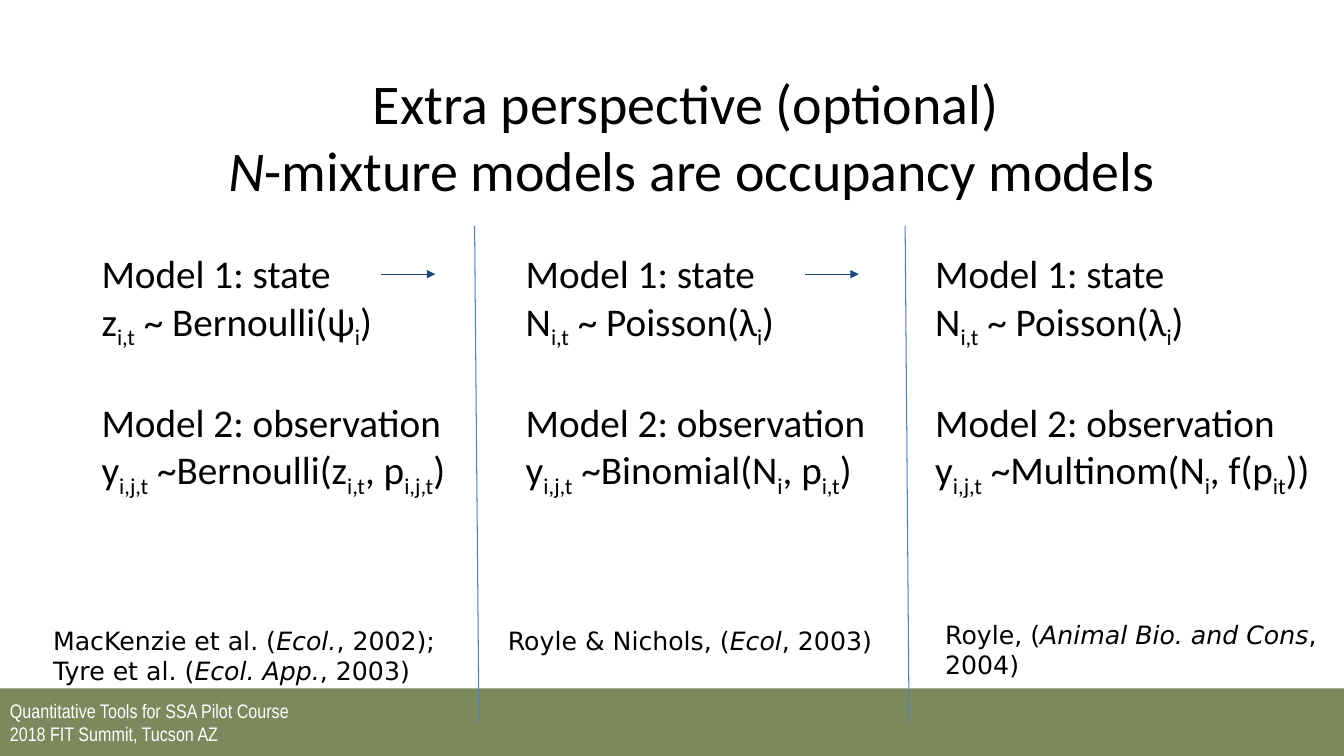
from lxml import etree
from pptx import Presentation
from pptx.dml.color import RGBColor
from pptx.enum.shapes import MSO_CONNECTOR, MSO_SHAPE
from pptx.enum.text import MSO_ANCHOR, PP_ALIGN
from pptx.oxml.ns import qn
from pptx.util import Cm, Pt

STRAIGHT = MSO_CONNECTOR.STRAIGHT
RECTANGLE = MSO_SHAPE.RECTANGLE
MIDDLE = MSO_ANCHOR.MIDDLE
LEFT, CENTER = PP_ALIGN.LEFT, PP_ALIGN.CENTER

BLACK = RGBColor(0x00, 0x00, 0x00)
WHITE = RGBColor(0xFF, 0xFF, 0xFF)
OLIVE = RGBColor(0x4F, 0x62, 0x28)
DIVIDER_BLUE = RGBColor(0x4F, 0x81, 0xBD)
ARROW_BLUE = RGBColor(0x1F, 0x49, 0x7D)

SLIDE_WIDTH, SLIDE_HEIGHT = 33.87, 19.05
MODEL_TOP, MODEL_HEIGHT = 6.17, 8.64
DIVIDER_TOP, DIVIDER_BOTTOM = 5.69, 18.19
ARROW_Y = 6.91
FOOTER_TOP = 17.35

TITLE = ["Extra perspective (optional) ", "|N|-mixture models are occupancy models"]
FOOTER = ["Quantitative Tools for SSA Pilot Course", "2018 FIT Summit, Tucson AZ"]

# Left, width, state formula, observation formula
MODELS = [
    (2.31, 9.75, "z|i,t| ~ Bernoulli(ψ|i|)", "y|i,j,t| ~Bernoulli(z|i,t|, p|i,j,t|)"),
    (13, 9.14, "N|i,t| ~ Poisson(λ|i|)", "y|i,j,t| ~Binomial(N|i|, p|i,t|)"),
    (23.32, 10.21, "N|i,t| ~ Poisson(λ|i|)", "y|i,j,t| ~Multinom(N|i|, f(p|it|))"),
]
# Left, top, width, height, text
CITATIONS = [
    (1.09, 15.62, 10.54, 1.8,
     "MacKenzie et al. (|Ecol.|, 2002); Tyre et al. (|Ecol. App.|, 2003)"),
    (12.55, 15.62, 10.21, 1.02, "Royle & Nichols, (|Ecol|, 2003)"),
    (23.57, 15.47, 10.21, 1.8, "Royle, (|Animal Bio. and Cons|, 2004)"),
]
DIVIDERS = [(11.96, 12.07), (22.81, 22.91)]
ARROWS = [(9.6, 10.97), (20.29, 21.64)]


def italicize(run):
    run.font.italic = True


def lower(run):
    """Make the run a subscript."""
    run._r.get_or_add_rPr().set("baseline", "-25000")


def write_lines(text_frame, lines, font_name, size, color=BLACK, align=LEFT, mark=italicize):
    """Write one paragraph a line; mark is applied to the parts between bars."""
    text_frame.word_wrap = True
    for index, line in enumerate(lines):
        paragraph = text_frame.paragraphs[0] if index == 0 else text_frame.add_paragraph()
        paragraph.alignment = align
        paragraph.font.name = font_name
        paragraph.font.size = Pt(size)
        paragraph.font.color.rgb = color
        for position, part in enumerate(line.split("|")):
            if part:
                run = paragraph.add_run()
                run.text = part
                if position % 2:
                    mark(run)


def add_text(slide, left, top, width, height, lines, font_name, size, **style):
    box = slide.shapes.add_textbox(Cm(left), Cm(top), Cm(width), Cm(height))
    write_lines(box.text_frame, lines, font_name, size, **style)
    return box.text_frame


def add_model(slide, left, width, state, observation):
    lines = ["Model 1: state", state, "Model 2: observation", observation]
    text_frame = add_text(slide, left, MODEL_TOP, width, MODEL_HEIGHT, lines,
                          "Calibri", 28, mark=lower)
    text_frame.paragraphs[2].space_before = Pt(34)


def add_footer(slide):
    band = slide.shapes.add_shape(RECTANGLE, 0, Cm(FOOTER_TOP), Cm(SLIDE_WIDTH),
                                  Cm(SLIDE_HEIGHT - FOOTER_TOP))
    band.shadow.inherit = False
    band.fill.solid()
    band.fill.fore_color.rgb = OLIVE
    color = band._element.spPr.find(qn("a:solidFill"))[0]
    etree.SubElement(color, qn("a:alpha"), val="75000")
    band.line.fill.background()
    band.text_frame.vertical_anchor = MIDDLE
    write_lines(band.text_frame, FOOTER, "Arial Narrow", 14, color=WHITE)


def add_line(slide, start_x, start_y, end_x, end_y, color, arrow=False):
    connector = slide.shapes.add_connector(STRAIGHT, Cm(start_x), Cm(start_y),
                                           Cm(end_x), Cm(end_y))
    connector.line.color.rgb = color
    connector.line.width = Pt(0.75)
    if arrow:
        etree.SubElement(connector.line._get_or_add_ln(), qn("a:tailEnd"), type="triangle")
    etree.SubElement(connector._element.spPr, qn("a:effectLst"))


def main():
    presentation = Presentation()
    presentation.slide_width = Cm(SLIDE_WIDTH)
    presentation.slide_height = Cm(SLIDE_HEIGHT)
    slide = presentation.slides.add_slide(presentation.slide_layouts[6])

    add_footer(slide)
    add_text(slide, 4.29, 1.6, 26.29, 3.18, TITLE, "Calibri", 40, align=CENTER)
    for model in MODELS:
        add_model(slide, *model)
    for left, top, width, height, citation in CITATIONS:
        add_text(slide, left, top, width, height, [citation], "DejaVu Sans", 18)
    for top_x, bottom_x in DIVIDERS:
        add_line(slide, top_x, DIVIDER_TOP, bottom_x, DIVIDER_BOTTOM, DIVIDER_BLUE)
    for start_x, end_x in ARROWS:
        add_line(slide, start_x, ARROW_Y, end_x, ARROW_Y, ARROW_BLUE, arrow=True)

    presentation.save("out.pptx")


if __name__ == "__main__":
    main()
